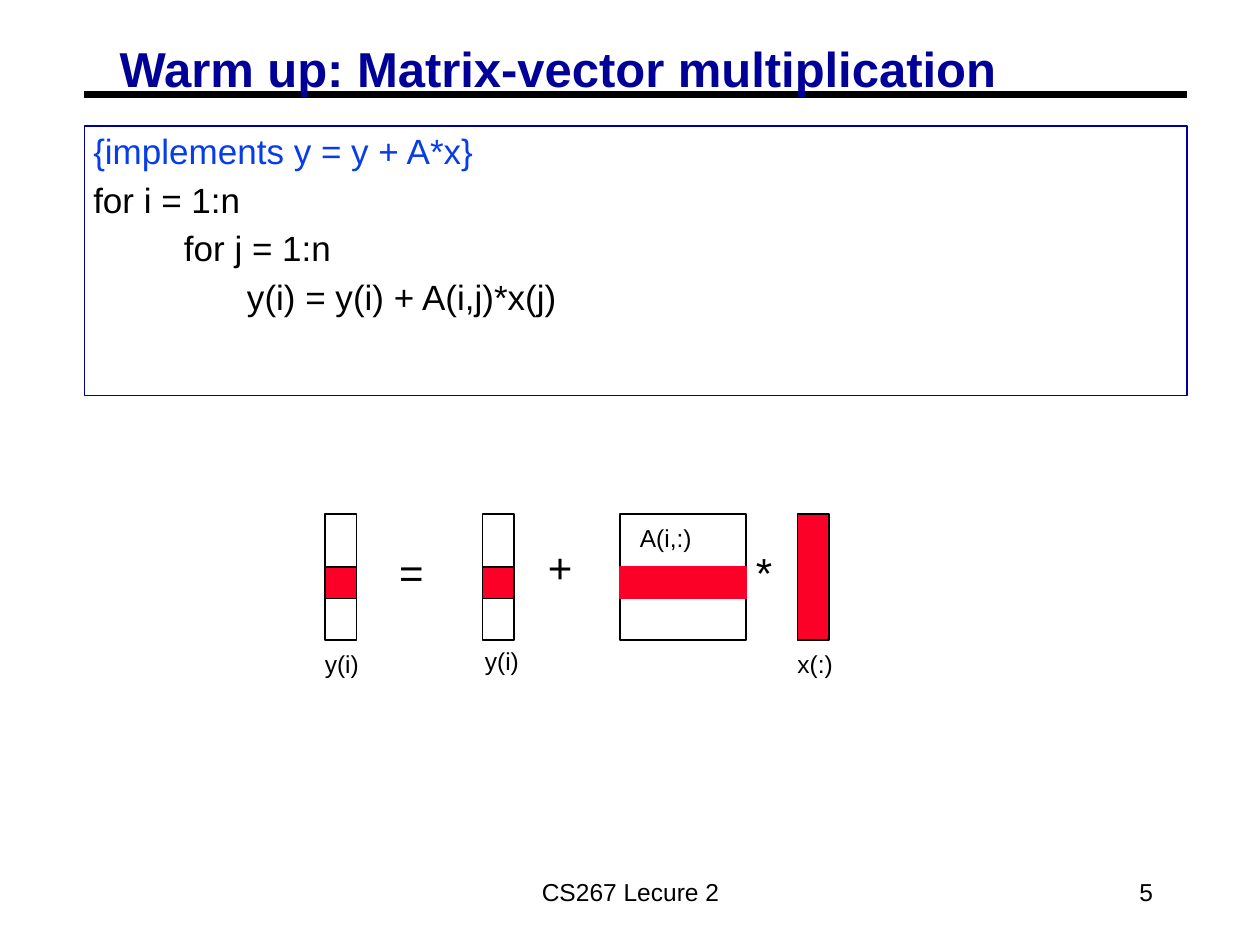
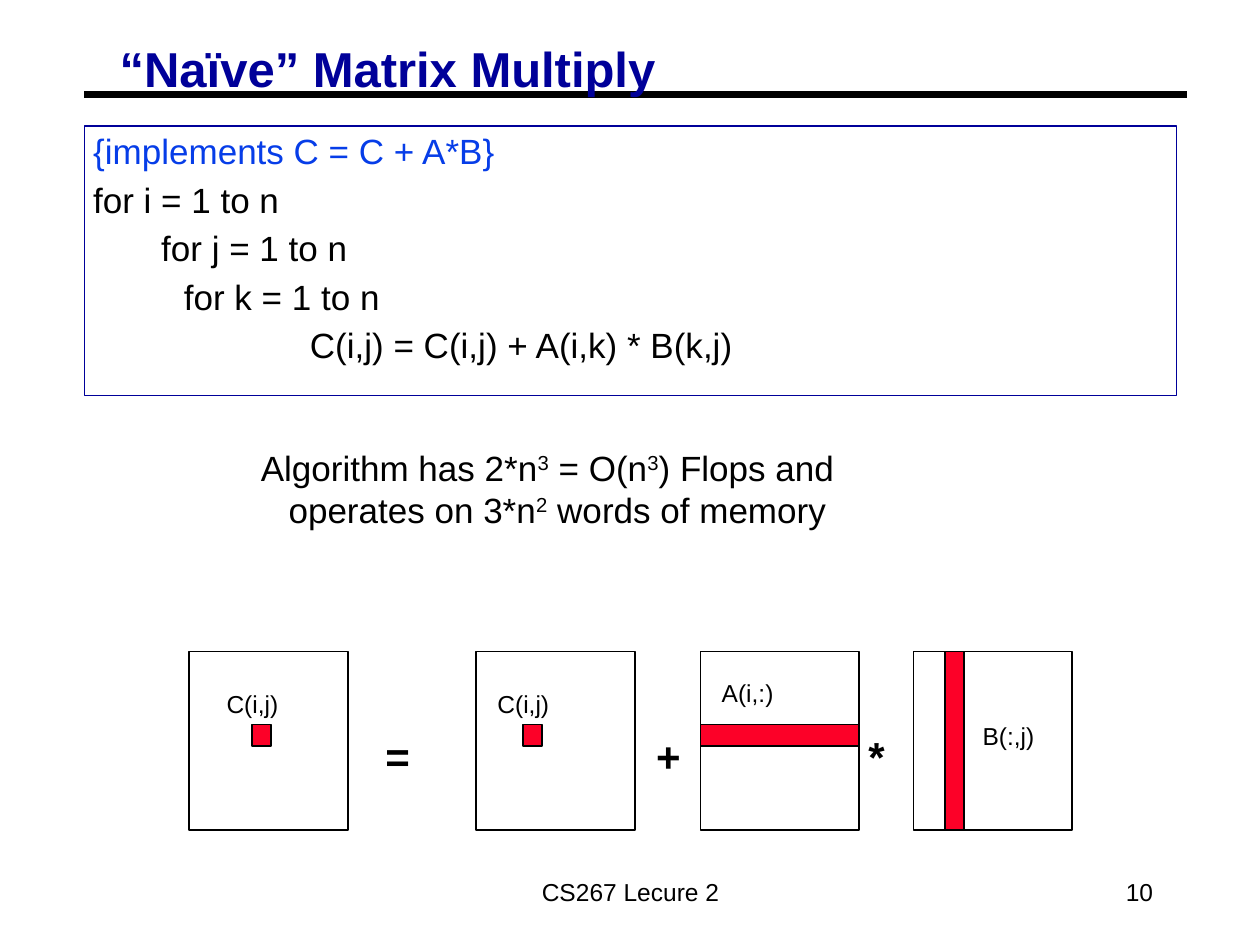
from lxml import etree
from pptx import Presentation
from pptx.dml.color import RGBColor
from pptx.enum import shapes, text
from pptx.oxml import ns
from pptx.util import Inches, Pt

NAVY = RGBColor(0x00, 0x00, 0x99)
BLUE = RGBColor(0x06, 0x3D, 0xE8)
RED = RGBColor(0xFC, 0x01, 0x28)
BLACK = RGBColor(0x00, 0x00, 0x00)
FONT = "Arial"
FOOTER = "CS267 Lecure 2"
WIDE_INSETS = (0.1, 0.05)
TIGHT_INSETS = (0.07, 0.03)
HANGING = 0.22
TAB_STOPS = range(8)


class Deck:
    def __init__(self):
        self.presentation = Presentation()
        self.presentation.slide_width = Inches(10)
        self.presentation.slide_height = Inches(7.5)
        self.slide = None

    def start_slide(self, title, title_width, number):
        """Add a slide with its title, rule, footer and page number."""
        layout = self.presentation.slide_layouts[5]
        self.slide = self.presentation.slides.add_slide(layout)
        self.rule()
        self.title(title, title_width)
        for left, width, words, align in (
            (3.42, 3.17, FOOTER, text.PP_ALIGN.CENTER),
            (7.17, 2.08, str(number), text.PP_ALIGN.RIGHT),
        ):
            box = self.text_box(left, 6.83, width, 0.5)
            box.text_frame.vertical_anchor = text.MSO_ANCHOR.MIDDLE
            paragraph = box.text_frame.paragraphs[0]
            paragraph.alignment = align
            self.run(paragraph, words, 14)

    def rule(self):
        line = self.slide.shapes.add_connector(
            shapes.MSO_CONNECTOR.STRAIGHT,
            Inches(0.67), Inches(0.75), Inches(9.42), Inches(0.75))
        line.line.color.rgb = BLACK
        line.line.width = Pt(3.75)
        etree.SubElement(line._element.spPr, ns.qn("a:effectLst"))
        # The rule lies behind the title.
        self.slide.shapes._spTree.insert(2, line._element)

    def title(self, words, width):
        shape = self.slide.shapes.title
        shape.left, shape.top = Inches(0.88), Inches(0.34)
        shape.width, shape.height = Inches(width), Inches(0.46)
        self.frame(shape, TIGHT_INSETS)
        paragraph = shape.text_frame.paragraphs[0]
        paragraph.alignment = text.PP_ALIGN.LEFT
        paragraph.line_spacing = 0.87
        self.run(paragraph, words, 28, NAVY, bold=True)

    def frame(self, shape, insets):
        frame = shape.text_frame
        frame.word_wrap = True
        frame.auto_size = text.MSO_AUTO_SIZE.NONE
        frame.vertical_anchor = text.MSO_ANCHOR.TOP
        frame.margin_left = frame.margin_right = Inches(insets[0])
        frame.margin_top = frame.margin_bottom = Inches(insets[1])

    def run(self, paragraph, words, size, color=BLACK, bold=False):
        run = paragraph.add_run()
        run.text = words
        run.font.name = FONT
        run.font.size = Pt(size)
        run.font.bold = bold
        run.font.color.rgb = color
        return run

    def text_box(self, left, top, width, height, insets=WIDE_INSETS):
        box = self.slide.shapes.add_textbox(
            Inches(left), Inches(top), Inches(width), Inches(height))
        self.frame(box, insets)
        return box

    def label(self, words, left, top, width, size=14, bold=False, wrap=True):
        box = self.text_box(left, top, width, 0.5 if size == 24 else 0.34)
        box.text_frame.word_wrap = wrap
        box.text_frame.auto_size = text.MSO_AUTO_SIZE.SHAPE_TO_FIT_TEXT
        self.run(box.text_frame.paragraphs[0], words, size, bold=bold)

    def rectangle(self, left, top, width, height, fill=None, line=BLACK, weight=1):
        shape = self.slide.shapes.add_shape(
            shapes.MSO_SHAPE.RECTANGLE,
            Inches(left), Inches(top), Inches(width), Inches(height))
        shape.shadow.inherit = False
        if fill is None:
            shape.fill.background()
        else:
            shape.fill.solid()
            shape.fill.fore_color.rgb = fill
        shape.line.color.rgb = line
        shape.line.width = Pt(weight)
        return shape

    def hang(self, paragraph):
        """Give a paragraph its hanging indent and one-inch tab stops."""
        properties = paragraph._p.get_or_add_pPr()
        properties.set("marL", str(Inches(HANGING)))
        properties.set("indent", str(-Inches(HANGING)))
        tabs = etree.SubElement(properties, ns.qn("a:tabLst"))
        for stop in TAB_STOPS:
            etree.SubElement(tabs, ns.qn("a:tab"), pos=str(Inches(stop)), algn="l")

    def code(self, width, lines):
        box = self.rectangle(0.67, 1, width, 2.14, line=NAVY, weight=0.75)
        self.frame(box, TIGHT_INSETS)
        frame = box.text_frame
        for index, words in enumerate(lines):
            paragraph = frame.add_paragraph() if index else frame.paragraphs[0]
            self.hang(paragraph)
            paragraph.alignment = text.PP_ALIGN.LEFT
            if index:
                paragraph.space_before = Pt(3.7)
            self.run(paragraph, words, 20, BLACK if index else BLUE)

    def formula_note(self, pieces):
        """Write pieces in turn as normal text and superscript."""
        box = self.text_box(2, 3.51, 5.15, 0.72, TIGHT_INSETS)
        paragraph = box.text_frame.paragraphs[0]
        self.hang(paragraph)
        for index, words in enumerate(pieces):
            run = self.run(paragraph, words, 20)
            if index % 2:
                run.font._element.set("baseline", "30000")


def matrix_vector(deck):
    deck.start_slide("Warm up: Matrix-vector multiplication", 7.12, 5)
    deck.code(8.75, [
        "{implements y = y + A*x}",
        "for i = 1:n",
        "\t\tfor j = 1:n",
        "\t\t\ty(i) = y(i) + A(i,j)*x(j)",
    ])
    top, row_top, thin = 4.08, 4.5, 0.25
    for left in (2.58, 3.83):
        deck.rectangle(left, top, thin, 1)
        deck.rectangle(left, row_top, thin, thin, RED)
    deck.rectangle(4.92, top, 1, 1)
    deck.rectangle(4.92, row_top, 1, thin, RED, RED)
    deck.rectangle(6.33, top, thin, 1, RED)
    for sign, left, sign_top, width in (
        ("=", 3.07, 4.29, 0.39), ("+", 4.25, 4.25, 0.39), ("*", 5.9, 4.29, 0.33),
    ):
        deck.label(sign, left, sign_top, width, size=24, wrap=False)
    for name, left, name_top, width in (
        ("y(i)", 2.48, 5.1, 0.47), ("y(i)", 3.75, 5.08, 0.47),
        ("A(i,:)", 4.98, 4.1, 0.61), ("x(:)", 6.23, 5.1, 0.48),
    ):
        deck.label(name, left, name_top, width, wrap=False)


def matrix_multiply(deck):
    deck.start_slide("“Naïve” Matrix Multiply", 4.4, 10)
    deck.code(8.67, [
        "{implements C = C + A*B}",
        "for i = 1 to n",
        "       for j = 1 to n",
        "\t\tfor k = 1 to n",
        "           \t\tC(i,j) = C(i,j) + A(i,k) * B(k,j)",
    ])
    top, width, height = 5.17, 1.26, 1.42
    row_top, row_height, column_width = 5.75, 0.17, 0.15
    for left in (1.5, 3.78, 5.56, 7.25):
        deck.rectangle(left, top, width, height)
    for sign, left, sign_width in (("=", 2.96, 0.59), ("+", 5.11, 0.3), ("*", 6.81, 0.18)):
        deck.label(sign, left, row_top, sign_width, size=24, bold=True)
    for left in (2, 4.15):
        deck.rectangle(left, row_top, column_width, row_height, RED)
        deck.label("C(i,j)", left - 0.3, 5.42, 0.74)
    deck.rectangle(5.56, row_top, width, row_height, RED)
    deck.rectangle(7.5, top, column_width, height, RED)
    deck.label("A(i,:)", 5.63, 5.33, 0.74)
    deck.label("B(:,j)", 7.7, 5.67, 0.74)
    deck.formula_note([
        "Algorithm has 2*n", "3", " = O(n", "3",
        ") Flops and operates on 3*n", "2", " words of memory",
    ])


def main():
    deck = Deck()
    matrix_vector(deck)
    matrix_multiply(deck)
    deck.presentation.save("out.pptx")


if __name__ == "__main__":
    main()
